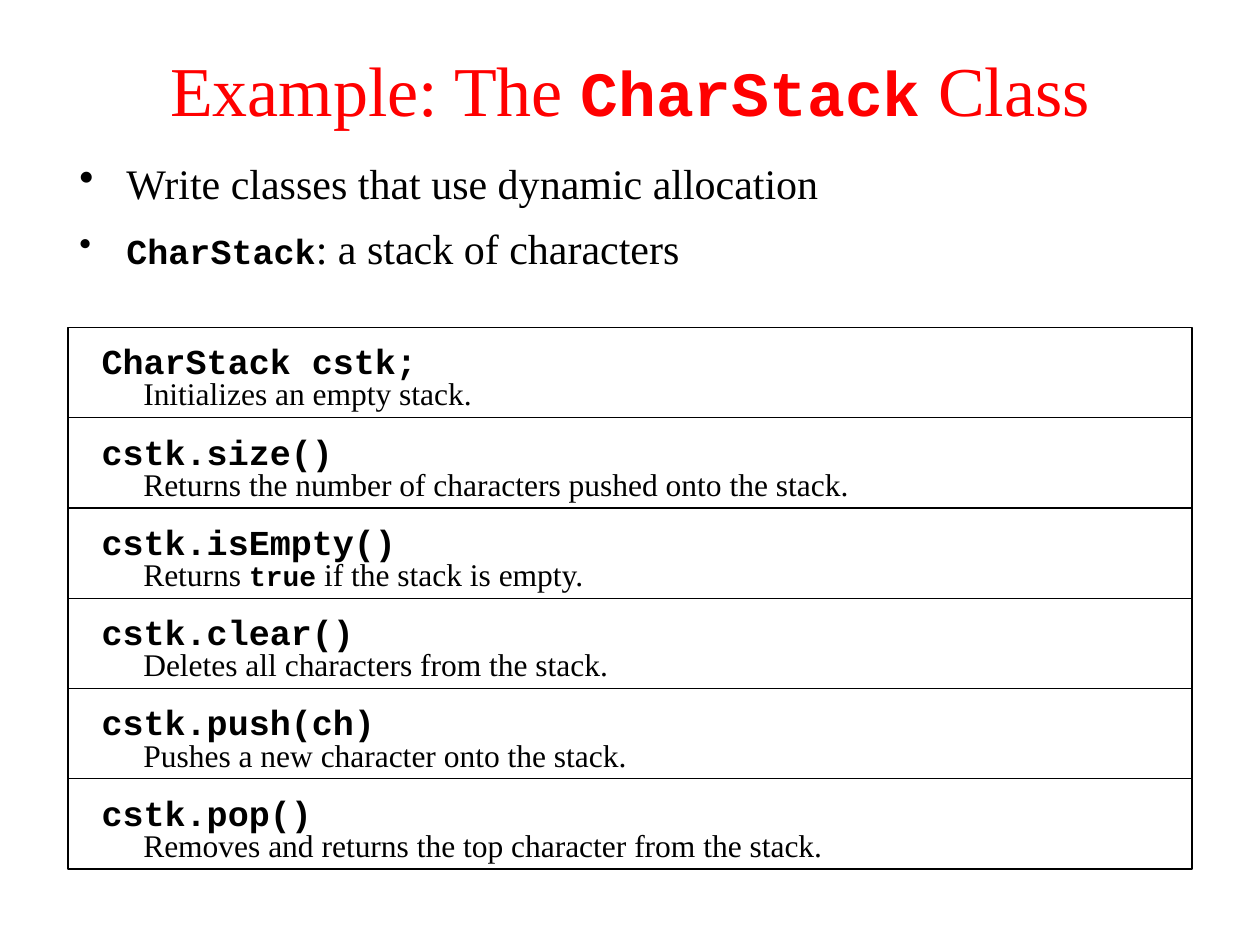
"""Build a slide that lists the operations of the CharStack class."""
from lxml.etree import SubElement
from pptx import Presentation
from pptx.dml.color import RGBColor
from pptx.enum.shapes import MSO_SHAPE
from pptx.enum.text import MSO_ANCHOR, PP_ALIGN
from pptx.oxml.ns import qn
from pptx.util import Cm, Pt

COLORS = {"title": "FF0000", "text": "000000", "fill": "FFFFFF"}
SERIF, MONO = "Times New Roman", "Courier New"
STYLES = {
    "title": {"name": SERIF, "size": Pt(40), "bold": False},
    "title code": {"name": MONO, "size": Pt(36), "bold": True},
    "body": {"name": SERIF, "size": Pt(24), "bold": False},
    "code": {"name": MONO, "size": Pt(20), "bold": True},
    "note": {"name": SERIF, "size": Pt(18), "bold": False},
    "note code": {"name": MONO, "size": Pt(16), "bold": True},
}

TITLE = [("Example: The ", "title"), ("CharStack", "title code"), (" Class", "title")]
BULLETS = [
    [("Write classes that use dynamic allocation", "body")],
    [("CharStack", "code"), (": a stack of characters", "body")],
]
OPERATIONS = [
    ("CharStack cstk;", [("Initializes an empty stack.", "note")]),
    ("cstk.size()", [("Returns the number of characters pushed onto the stack.", "note")]),
    ("cstk.isEmpty()", [("Returns ", "note"), ("true", "note code"),
                        (" if the stack is empty.", "note")]),
    ("cstk.clear()", [("Deletes all characters from the stack.", "note")]),
    ("cstk.push(ch)", [("Pushes a new character onto the stack.", "note")]),
    ("cstk.pop()", [("Removes and returns the top character from the stack.", "note")]),
]
ROWS_TOP, ROW_HEIGHT = 6.6, 1.82


def add_text(shapes, box, paragraphs, color="text", **frame_format):
    """Add a text box and return its paragraphs."""
    frame = shapes.add_textbox(*map(Cm, box)).text_frame
    for name, value in {"word_wrap": True, **frame_format}.items():
        setattr(frame, name, value)
    for index, runs in enumerate(paragraphs):
        paragraph = frame.add_paragraph() if index else frame.paragraphs[0]
        for text, style in runs:
            run = paragraph.add_run()
            run.text = text
            run.font.color.rgb = RGBColor.from_string(COLORS[color])
            for name, value in STYLES[style].items():
                setattr(run.font, name, value)
    return frame.paragraphs


def add_bullet(paragraph):
    """Give a paragraph a hanging bullet."""
    properties = paragraph._p.get_or_add_pPr()
    properties.set("marL", str(Cm(0.95)))
    properties.set("indent", str(-Cm(0.95)))
    SubElement(properties, qn("a:buChar"), char="•")


def add_operation(slide, top, call, description):
    """Add one framed row with a call and its description."""
    shapes = slide.shapes.add_group_shape().shapes
    frame = shapes.add_shape(MSO_SHAPE.RECTANGLE, *map(Cm, (1.37, top, 22.66, ROW_HEIGHT)))
    frame.shadow.inherit = False
    frame.fill.solid()
    frame.fill.fore_color.rgb = RGBColor.from_string(COLORS["fill"])
    frame.line.color.rgb = RGBColor.from_string(COLORS["text"])
    frame.line.width = Pt(0.75)
    add_text(shapes, (1.8, top, 21.8, 1.09), [[(call, "code")]], margin_top=Cm(0.25))
    add_text(shapes, (2.64, top + 0.78, 21.17, 1.02), [description], margin_top=Cm(0.17))


def main():
    """Assemble and save the slide."""
    presentation = Presentation()
    presentation.slide_width, presentation.slide_height = Cm(25.4), Cm(19.05)
    slide = presentation.slides.add_slide(presentation.slide_layouts[6])

    title = add_text(slide.shapes, (0, 0.2, 25.4, 3.18), [TITLE], "title",
                     vertical_anchor=MSO_ANCHOR.MIDDLE)
    title[0].alignment = PP_ALIGN.CENTER

    for row, (call, description) in enumerate(OPERATIONS):
        add_operation(slide, ROWS_TOP + row * ROW_HEIGHT, call, description)

    for paragraph in add_text(slide.shapes, (1.35, 3.2, 22.58, 2.62), BULLETS):
        paragraph.line_spacing = 0.85
        paragraph.space_after = Pt(13)
        add_bullet(paragraph)

    presentation.save("out.pptx")


if __name__ == "__main__":
    main()
